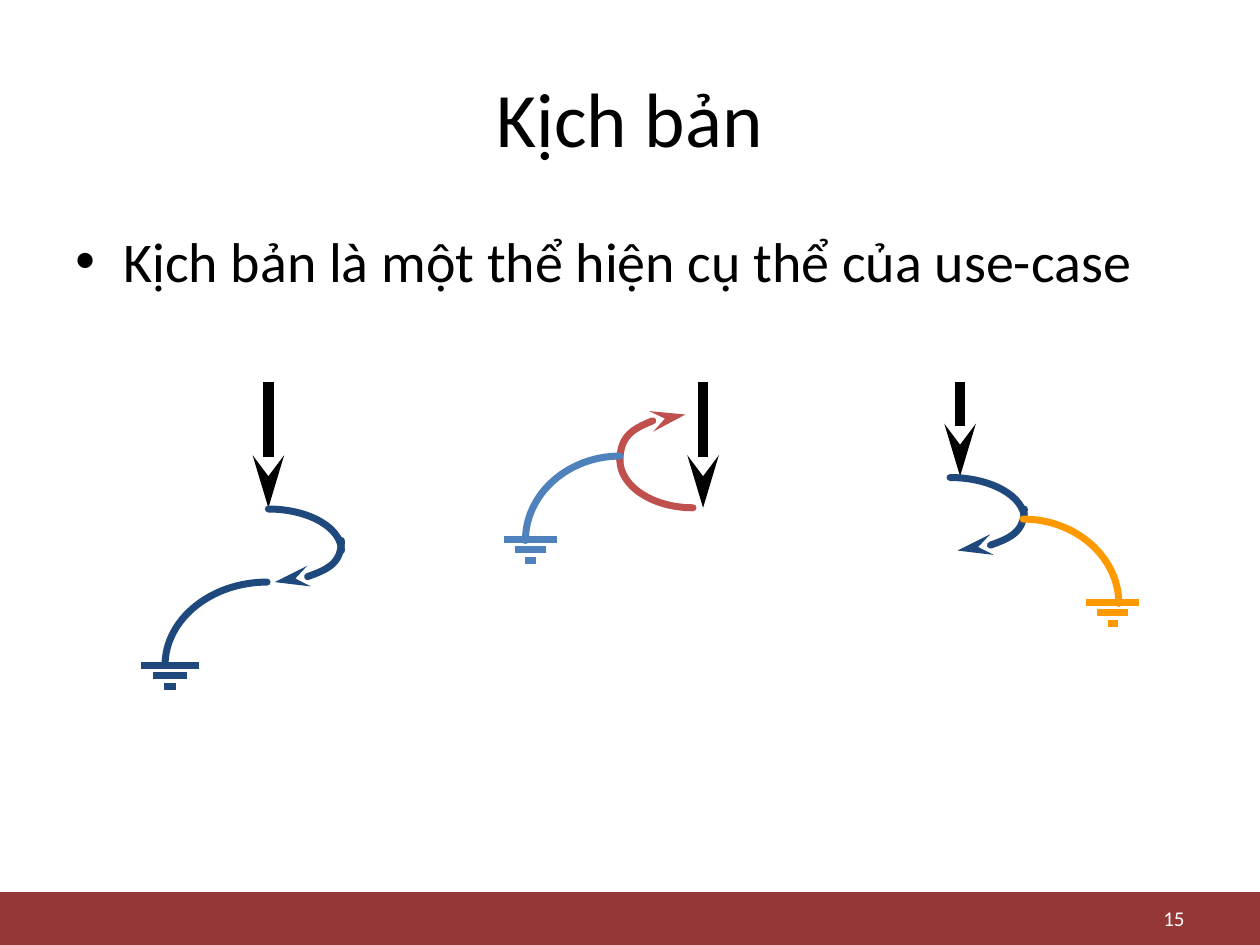
from lxml import etree
from pptx import Presentation
from pptx.dml.color import RGBColor
from pptx.enum.shapes import MSO_CONNECTOR, MSO_SHAPE
from pptx.enum.text import MSO_ANCHOR, PP_ALIGN
from pptx.oxml.ns import qn
from pptx.util import Inches, Pt

FONT = "Calibri"
COLORS = {
    "black": "000000", "white": "FFFFFF", "footer": "953735",
    "red": "C0504D", "blue": "4F81BD", "navy": "1F497D", "orange": "FF9900",
}

TITLE = "Kịch bản"
BULLET = "Kịch bản là một thể hiện cụ thể của use-case"
PAGE = "15"

# entry: (x, top, bottom) of the black arrow
# arcs: (start, end, starts horizontally, arrowhead, colour)
# ground: (centre x, top y, bar widths, colour)
SCENARIOS = [
    {"entry": (5.58, 3.03, 4.03),
     "arcs": [((5.5, 4.03), (4.92, 3.65), True, False, "red"),
              ((4.92, 3.66), (5.44, 3.29), False, True, "red"),
              ((4.17, 4.29), (4.92, 3.62), False, False, "blue")],
     "ground": (4.21, 4.28, (0.42, 0.25, 0.08), "blue")},
    {"entry": (7.62, 3.03, 3.78),
     "arcs": [((7.54, 3.79), (8.13, 4.12), True, False, "navy"),
              ((8.13, 4.04), (7.6, 4.37), False, True, "navy"),
              ((8.12, 4.12), (8.88, 4.79), True, False, "orange")],
     "ground": (8.83, 4.78, (0.42, 0.25, 0.08), "orange")},
    {"entry": (2.13, 3.03, 4.03),
     "arcs": [((2.13, 4.04), (2.71, 4.37), True, False, "navy"),
              ((2.71, 4.29), (2.18, 4.62), False, True, "navy"),
              ((1.31, 5.28), (2.12, 4.62), False, False, "navy")],
     "ground": (1.35, 5.28, (0.46, 0.27, 0.09), "navy")},
]
BAR_GAP = 0.085
KAPPA = 0.55  # control point ratio of a quarter ellipse


def rgb(name):
    return RGBColor.from_string(COLORS[name])


def add_text(slide, text, box, size, color="black", align=None, anchor=MSO_ANCHOR.MIDDLE):
    tf = slide.shapes.add_textbox(*map(Inches, box)).text_frame
    tf.word_wrap = True
    tf.vertical_anchor = anchor
    p = tf.paragraphs[0]
    p.alignment = align
    r = p.add_run()
    r.text = text
    r.font.name, r.font.size = FONT, Pt(size)
    r.font.color.rgb = rgb(color)
    return p


def style_line(sp, color, width, arrow=False):
    sp.line.color.rgb = rgb(color)
    sp.line.width = Pt(width)
    if arrow:
        etree.SubElement(sp.line._get_or_add_ln(), qn("a:tailEnd"),
                         type="stealth", w="med", len="lg")


def add_line(slide, start, end, color, width, arrow=False):
    sp = slide.shapes.add_connector(MSO_CONNECTOR.STRAIGHT, *map(Inches, start + end))
    style_line(sp, color, width, arrow)
    etree.SubElement(sp._element.spPr, qn("a:effectLst"))


def add_arc(slide, start, end, horizontal, arrow, color):
    (x0, y0), (x1, y1) = map(Inches, start), map(Inches, end)
    dx, dy = KAPPA * (x1 - x0), KAPPA * (y1 - y0)
    if horizontal:
        controls = [(x0 + dx, y0), (x1, y1 - dy)]
    else:
        controls = [(x0, y0 + dy), (x1 - dx, y1)]
    builder = slide.shapes.build_freeform(x0, y0)
    builder.add_line_segments(controls + [(x1, y1)], close=False)
    sp = builder.convert_to_shape()
    # Turn the three points into one cubic curve
    outline = sp._element.find(".//" + qn("a:path"))
    curve = etree.SubElement(outline, qn("a:cubicBezTo"))
    for segment in outline.findall(qn("a:lnTo")):
        curve.append(segment[0])
        outline.remove(segment)
    sp.fill.background()
    style_line(sp, color, 4, arrow)
    sp.line._get_or_add_ln().set("cap", "rnd")
    sp.shadow.inherit = False


def add_ground(slide, cx, top, widths, color):
    for i, width in enumerate(widths):
        y = top + i * BAR_GAP
        add_line(slide, (cx - width / 2, y), (cx + width / 2, y), color, 4)


def main():
    prs = Presentation()
    prs.slide_width, prs.slide_height = Inches(10), Inches(7.5)
    slide = prs.slides.add_slide(prs.slide_layouts[6])

    # Footer band
    band = slide.shapes.add_shape(MSO_SHAPE.RECTANGLE, *map(Inches, (0, 7.08, 10, 0.42)))
    band.fill.solid()
    band.fill.fore_color.rgb = rgb("footer")
    band.line.fill.background()
    band.shadow.inherit = False

    # Title, bullet and page number
    add_text(slide, TITLE, (0.5, 0.3, 9, 1.25), 44, align=PP_ALIGN.CENTER)
    p = add_text(slide, BULLET, (0.5, 1.75, 9, 1), 32, anchor=MSO_ANCHOR.TOP)
    pPr = p._p.get_or_add_pPr()
    pPr.set("marL", str(Inches(0.38)))
    pPr.set("indent", str(Inches(-0.38)))
    etree.SubElement(pPr, qn("a:buFont"), typeface="Arial")
    etree.SubElement(pPr, qn("a:buChar"), char="•")
    add_text(slide, PAGE, (7.17, 7.15, 2.33, 0.27), 12, "white", PP_ALIGN.RIGHT)

    # Scenario paths
    for scenario in SCENARIOS:
        x, top, bottom = scenario["entry"]
        add_line(slide, (x, top), (x, bottom), "black", 6, arrow=True)
        for arc in scenario["arcs"]:
            add_arc(slide, *arc)
        add_ground(slide, *scenario["ground"])

    prs.save("out.pptx")


if __name__ == "__main__":
    main()
